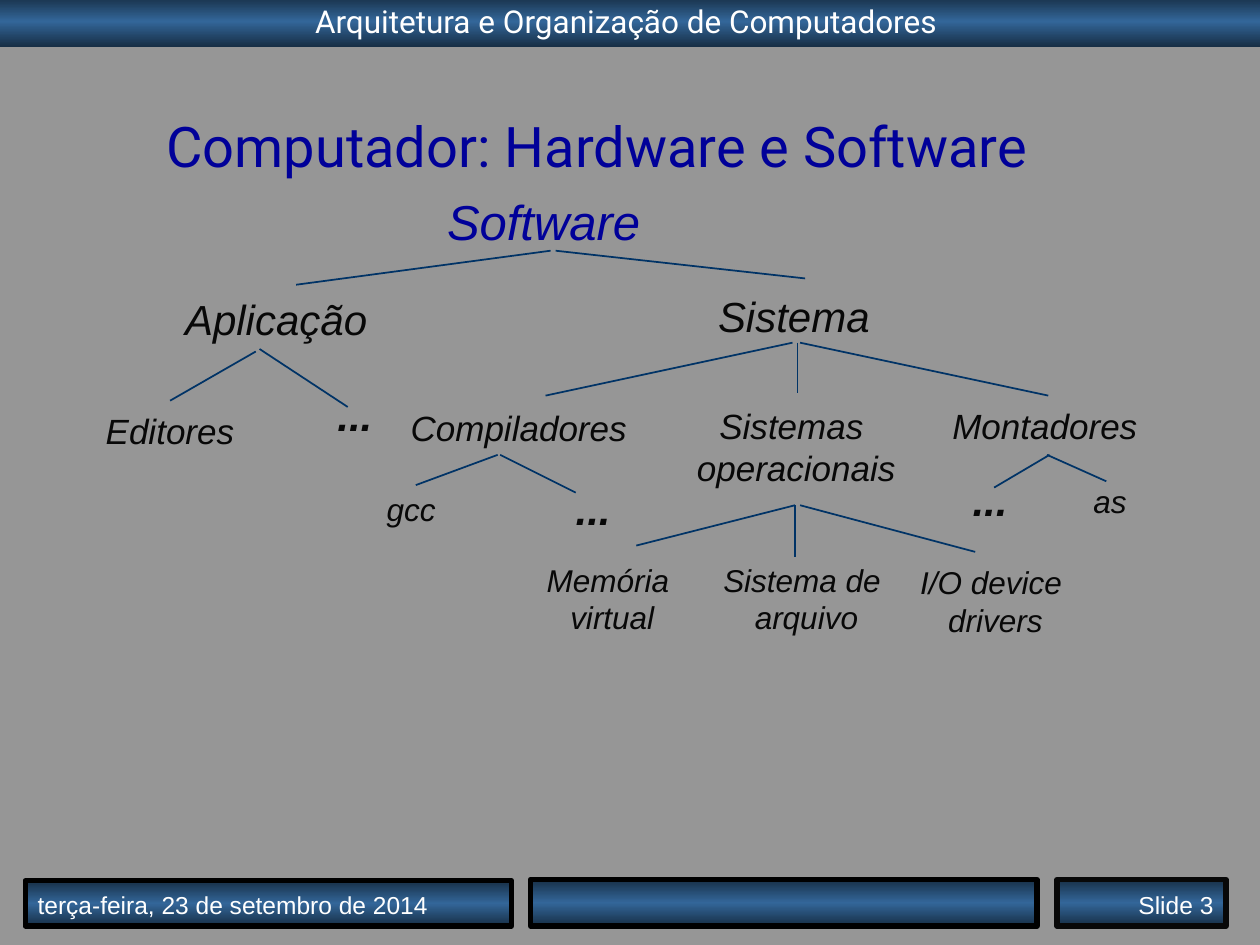
from copy import deepcopy

from pptx import Presentation
from pptx import util as u
from pptx.dml.color import RGBColor
from pptx.enum import shapes, text
from pptx.oxml.ns import qn
from pptx.oxml.xmlchemy import OxmlElement

PX = 9144  # EMU per px, 100 px to the inch
ALIGN = {"l": text.PP_ALIGN.LEFT, "c": text.PP_ALIGN.CENTER, "r": text.PP_ALIGN.RIGHT}
WHITE, BLACK, INK, TITLE, BRANCH = "FFFFFF", "000000", "080808", "000099", "003366"
BAR_STOPS = [(0, "172F46"), (0.5, "336699"), (1, "172F46")]


def px(*lengths):
    return [u.Emu(n * PX) for n in lengths]


def rgb(value):
    return RGBColor.from_string(value)


class Deck:
    """Holds the style and the current slide."""

    def __init__(self, width, height, background):
        self.prs = Presentation()
        self.prs.slide_width, self.prs.slide_height = px(width, height)
        self.s = self.prs.slides.add_slide(self.prs.slide_layouts[6])
        fill = self.s.background.fill
        fill.solid()
        fill.fore_color.rgb = rgb(background)

    def set_text(self, sp, content, size, color=INK, font="Arial", align="l",
                 anchor=text.MSO_ANCHOR.TOP, wrap=True, grow=False, **style):
        """Put one paragraph into sp for each line of content."""
        tf = sp.text_frame
        fit = text.MSO_AUTO_SIZE.SHAPE_TO_FIT_TEXT if grow else text.MSO_AUTO_SIZE.NONE
        frame = {"word_wrap": wrap, "vertical_anchor": anchor, "auto_size": fit}
        for name, value in frame.items():
            setattr(tf, name, value)
        for i, line in enumerate(content.split("\n")):
            p = tf.paragraphs[0] if i == 0 else tf.add_paragraph()
            p.alignment = ALIGN[align]
            r = p.add_run()
            r.text = line
            for name, value in {"name": font, "size": u.Pt(size), **style}.items():
                setattr(r.font, name, value)
            r.font.color.rgb = rgb(color)

    def bar(self, box, border=None):
        """Rectangle with the dark-light-dark gradient."""
        sp = self.s.shapes.add_shape(shapes.MSO_SHAPE.RECTANGLE, *px(*box))
        sp.shadow.inherit = False
        sp.fill.gradient()
        sp.fill.gradient_angle = 270
        stops = sp._element.spPr.find(".//" + qn("a:gsLst"))
        stops.insert(1, deepcopy(stops[0]))
        for stop, (position, color) in zip(sp.fill.gradient_stops, BAR_STOPS):
            stop.position = position
            stop.color.rgb = rgb(color)
        if border:
            sp.line.color.rgb = rgb(border)
            sp.line.width = u.Pt(3)
        else:
            sp.line.fill.background()
        return sp

    def label(self, box, content, size, **style):
        sp = self.s.shapes.add_textbox(*px(*box))
        self.set_text(sp, content, size, **style)

    def node(self, box, content, size, **style):
        """Italic label of the tree, sized to its text."""
        self.label(box, content, size, wrap=False, grow=True, italic=True, **style)

    def branch(self, start, end):
        c = self.s.shapes.add_connector(shapes.MSO_CONNECTOR.STRAIGHT, *px(*start, *end))
        c.line.color.rgb = rgb(BRANCH)
        c.line.width = u.Pt(1)
        c._element.spPr.append(OxmlElement("a:effectLst"))


def main():
    deck = Deck(1000, 750, "969696")
    bottom = text.MSO_ANCHOR.BOTTOM

    header = deck.bar((0, -3, 1000, 40))
    deck.set_text(header, "Arquitetura e Organização de Computadores ", 18,
                  color=WHITE, font="Roboto", align="c", grow=True)
    date = deck.bar((20, 699, 386, 36), BLACK)
    deck.set_text(date, "terça-feira, 23 de setembro de 2014", 14, color=WHITE, anchor=bottom)
    deck.bar((421, 698, 402, 37), BLACK)
    number = deck.bar((839, 698, 134, 37), INK)
    deck.set_text(number, "Slide 3", 14, color=WHITE, align="r", anchor=bottom)

    deck.label((20, 91, 908, 56), "Computador: Hardware e Software", 32,
               color=TITLE, font="Roboto", align="c", anchor=bottom)

    deck.node((345, 147, 173, 57), "Software", 28, color=TITLE)
    nodes = [
        ((137, 228, 165, 50), "Aplicação", 24),
        ((560, 226, 141, 50), "Sistema", 24),
        ((74, 320, 122, 43), "Editores", 20),
        ((316, 318, 192, 43), "Compiladores", 20),
        ((746, 316, 167, 43), "Montadores", 20),
        ((297, 384, 59, 40), "gcc", 18),
        ((858, 378, 47, 40), "as", 18),
    ]
    for box, content, size in nodes:
        deck.node(box, content, size)

    two_line_nodes = [
        ((543, 316, 178, 77), "Sistemas \noperacionais", 20),
        ((424, 440, 117, 70), "Memória\n virtual", 18),
        ((564, 440, 152, 70), "Sistema de \narquivo", 18),
        ((720, 442, 140, 70), "I/O device \ndrivers", 18),
    ]
    for box, content, size in two_line_nodes:
        deck.node(box, content, size, align="c")

    for left, top in [(258, 304), (447, 379), (762, 372)]:
        deck.node((left, top, 48, 50), "...", 24, bold=True)

    branches = [
        ((437, 199), (235, 226)), ((441, 199), (639, 221)),  # Software
        ((203, 279), (135, 318)), ((206, 277), (276, 323)),  # Aplicação
        ((629, 272), (433, 314)), ((635, 272), (832, 314)),  # Sistema
        ((633, 272), (633, 312)),
        ((395, 361), (330, 385)), ((397, 361), (457, 391)),  # Compiladores
        ((631, 401), (505, 433)), ((635, 401), (774, 438)),  # Sistemas operacionais
        ((631, 401), (631, 442)),
        ((831, 361), (878, 382)), ((833, 361), (789, 387)),  # Montadores
    ]
    for start, end in branches:
        deck.branch(start, end)

    deck.prs.save("out.pptx")


if __name__ == "__main__":
    main()
